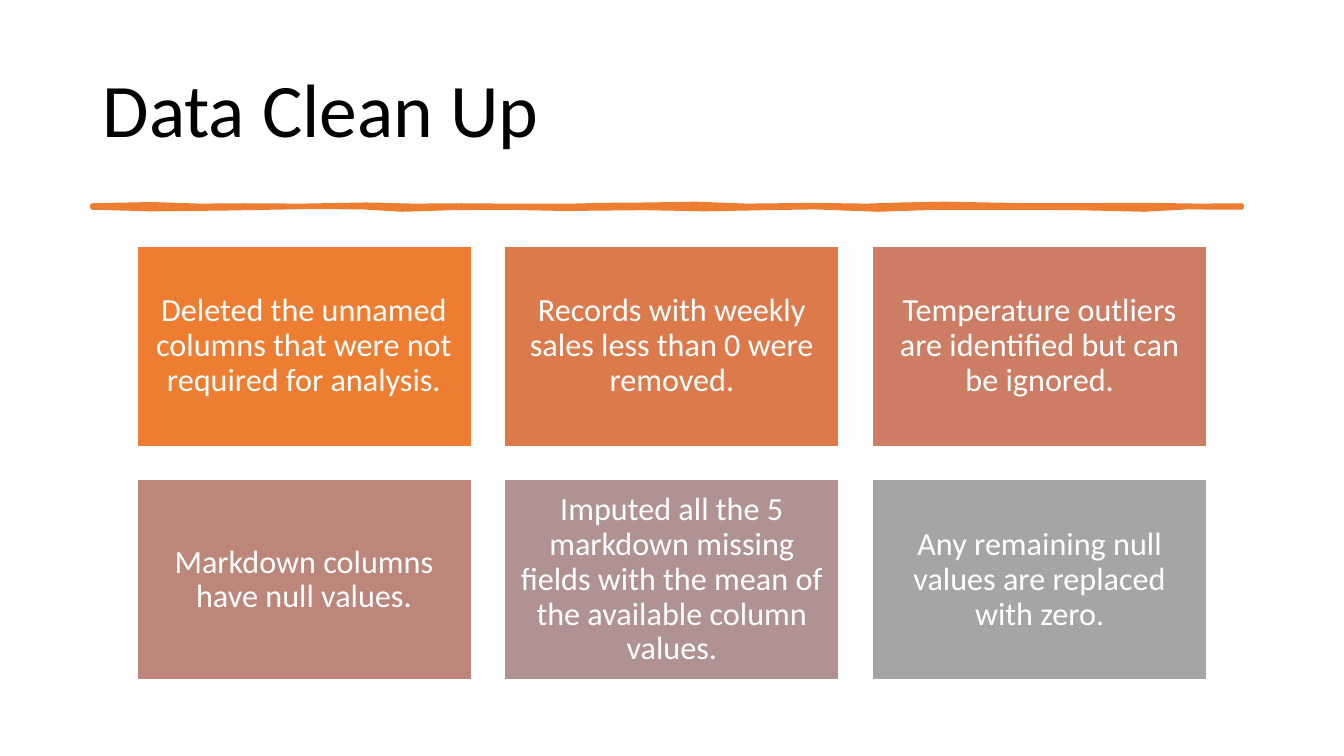
from pptx import Presentation
from pptx.dml.color import RGBColor
from pptx.enum.shapes import MSO_SHAPE
from pptx.enum.text import MSO_ANCHOR, PP_ALIGN
from pptx.oxml.ns import qn
from pptx.util import Cm, Pt
from lxml import etree

RECT = MSO_SHAPE.RECTANGLE
MIDDLE = MSO_ANCHOR.MIDDLE
LEFT, CENTER = PP_ALIGN.LEFT, PP_ALIGN.CENTER

FONT = "Calibri"
HEX = {"text": "000000", "light": "FFFFFF", "rule": "ED7D31"}

# Text and fill of each card, row by row
CARDS = [
    ("Deleted the unnamed columns that were not required for analysis.", "ED7D31"),
    ("Records with weekly sales less than 0 were removed.", "DC7A4B"),
    ("Temperature outliers are identified but can be ignored.", "CC7D64"),
    ("Markdown columns have null values.", "BD867B"),
    ("Imputed all the 5 markdown missing fields with the mean of "
     "the available column values.", "B09391"),
    ("Any remaining null values are replaced with zero.", "A5A5A5"),
]

# Edges of the brush stroke in cm, from its left end and its top
UPPER = [(0, 0), (1.5, -.03), (2.7, .01), (3.8, 0), (5.3, .01), (6.9, -.02),
         (8.1, .01), (9.3, 0), (10.4, .01), (12.1, .01), (12.8, -.01),
         (14, -.02), (15.2, -.04), (16.5, .01), (18.2, -.01), (19.5, .01),
         (20.4, -.02), (21.5, -.04), (23.6, 0), (26.6, -.01), (27.9, .01),
         (28.96, 0)]
LOWER = [(28.96, .05), (27.6, .04), (26.5, .1), (24.8, .06), (23.1, .05),
         (21.3, .05), (19.8, .1), (18.2, .04), (17, .06), (15.4, .09),
         (13.9, .06), (11.9, .08), (10.4, .05), (9.1, .06), (7.8, .1),
         (6.8, .04), (5.5, .03), (3.3, .07), (1.5, .09), (0, .05)]


def color(code):
    return RGBColor.from_string(code)


def write(frame, text, size, code, align):
    frame.text = text
    frame.word_wrap = True
    frame.vertical_anchor = MIDDLE
    para = frame.paragraphs[0]
    para.alignment = align
    para.line_spacing = 0.9
    font = para.runs[0].font
    font.name, font.size = FONT, Pt(size)
    font.color.rgb = color(code)


def add_title(slide, left, top, width, height):
    title = slide.shapes.title
    title.left, title.top = Cm(left), Cm(top)
    title.width, title.height = Cm(width), Cm(height)
    write(title.text_frame, "Data Clean Up", 54, HEX["text"], LEFT)


def add_stroke(slide, left, top):
    first, *rest = [(Cm(left + x), Cm(top + y)) for x, y in UPPER + LOWER]
    path = slide.shapes.build_freeform(*first)
    path.add_line_segments(rest, close=True)
    stroke = path.convert_to_shape()
    stroke.shadow.inherit = False
    stroke.fill.solid()
    stroke.fill.fore_color.rgb = color(HEX["rule"])
    stroke.line.color.rgb = color(HEX["rule"])
    stroke.line.width = Pt(3.25)
    # Round corners along the outline
    etree.SubElement(stroke.line._get_or_add_ln(), qn("a:round"))


def add_card(slide, text, fill, left, top, width, height):
    card = slide.shapes.add_shape(RECT, Cm(left), Cm(top), Cm(width), Cm(height))
    card.shadow.inherit = False
    card.fill.solid()
    card.fill.fore_color.rgb = color(fill)
    card.line.color.rgb = color(HEX["light"])
    card.line.width = Pt(1)
    frame = card.text_frame
    frame.margin_left = frame.margin_right = Cm(0.25)
    frame.margin_top = frame.margin_bottom = Cm(0.25)
    write(frame, text, 23, HEX["light"], CENTER)


def add_grid(slide, left, top, width, height, cols=3, rows=2, gap=0.84):
    wide = (width - gap * (cols - 1)) / cols
    high = (height - gap * (rows - 1)) / rows
    for index, (text, fill) in enumerate(CARDS):
        row, col = divmod(index, cols)
        add_card(slide, text, fill, left + col * (wide + gap),
                 top + row * (high + gap), wide, high)


def main():
    deck = Presentation()
    deck.slide_width, deck.slide_height = Cm(33.87), Cm(19.05)
    slide = deck.slides.add_slide(deck.slide_layouts[5])
    add_title(slide, 2.33, 1.01, 29.21, 3.68)
    add_stroke(slide, 2.33, 5.18)
    add_grid(slide, 3.45, 6.2, 26.97, 10.94)
    deck.save("out.pptx")


if __name__ == "__main__":
    main()
